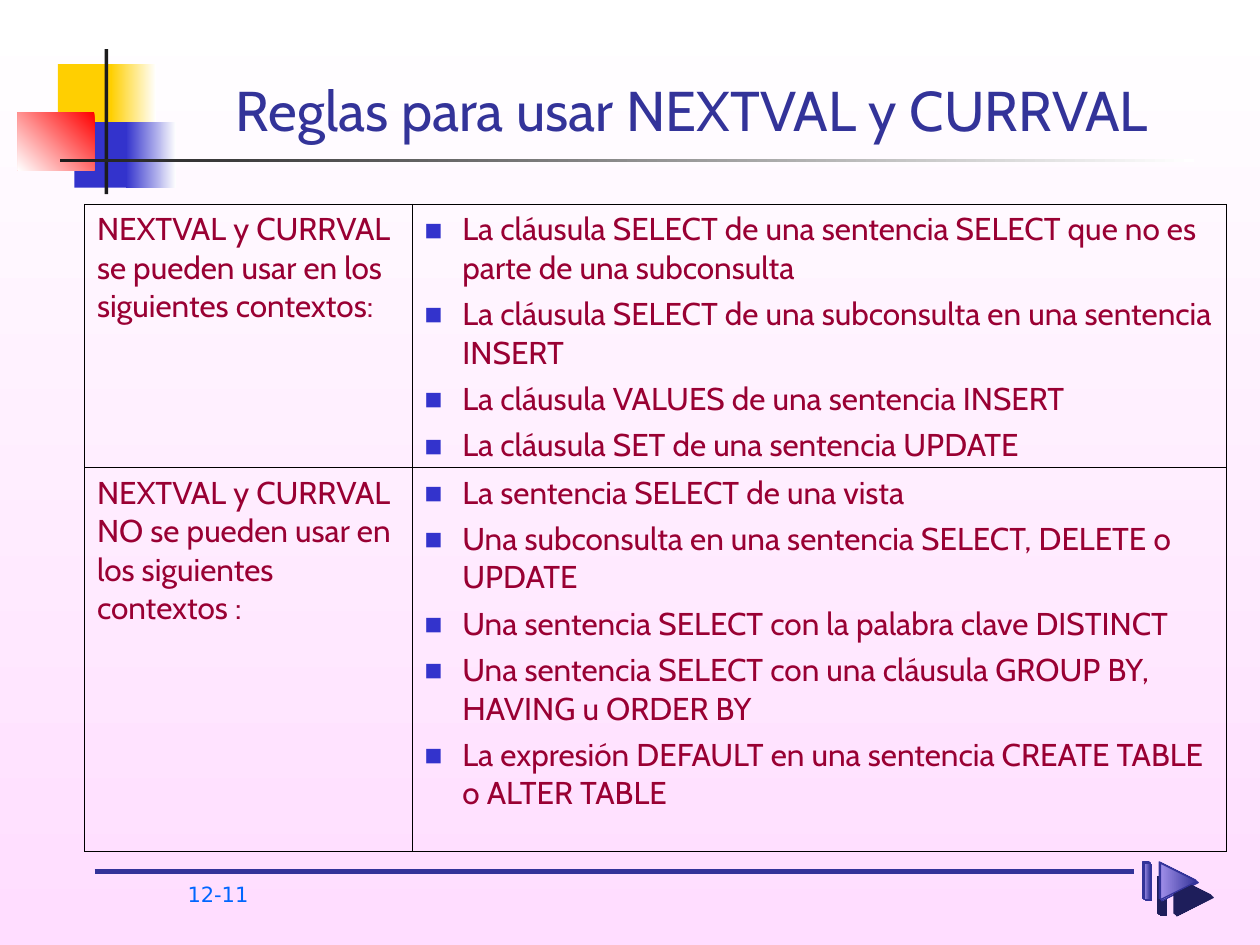
from dataclasses import dataclass

from lxml import etree
from pptx import Presentation
from pptx.dml.color import RGBColor
from pptx.enum.shapes import MSO_CONNECTOR, MSO_SHAPE
from pptx.enum.text import MSO_ANCHOR, MSO_AUTO_SIZE, PP_ALIGN
from pptx.oxml.ns import qn
from pptx.util import Emu, Inches, Pt

RECT = MSO_SHAPE.RECTANGLE
STRAIGHT = MSO_CONNECTOR.STRAIGHT
BOTTOM = MSO_ANCHOR.BOTTOM
CENTER = PP_ALIGN.CENTER
NO_FIT, GROW = MSO_AUTO_SIZE.NONE, MSO_AUTO_SIZE.SHAPE_TO_FIT_TEXT


@dataclass(frozen=True)
class Theme:
    """Colours, fonts and type sizes of the slide."""
    white: str = "FFFFFF"
    pink: str = "FFDDFF"
    yellow: str = "FFCF01"
    blue: str = "3333CC"
    red: str = "FF0000"
    dark: str = "1C1C1C"
    navy: str = "333399"
    lilac: str = "A08FE9"
    shade: str = "1E1E5B"
    number: str = "0066FF"
    body: str = "990033"
    border: str = "000000"
    font: str = "Cabin"
    number_font: str = "DejaVu Sans"
    title_size: int = 32
    body_size: int = 18
    number_size: int = 12


T = Theme()

RULES = [
    ("NEXTVAL y CURRVAL se pueden usar en los siguientes contextos:",
     ["La cláusula SELECT de una sentencia SELECT que no es parte de una subconsulta",
      "La cláusula SELECT de una subconsulta en una sentencia INSERT",
      "La cláusula VALUES de una sentencia INSERT",
      "La cláusula SET de una sentencia UPDATE"]),
    ("NEXTVAL y CURRVAL NO se pueden usar en los siguientes contextos :",
     ["La sentencia SELECT de una vista",
      "Una subconsulta en una sentencia SELECT, DELETE o UPDATE",
      "Una sentencia SELECT con la palabra clave DISTINCT",
      "Una sentencia SELECT con una cláusula GROUP BY, HAVING u ORDER BY",
      "La expresión DEFAULT en una sentencia CREATE TABLE o ALTER TABLE"]),
]


def rgb(color):
    """Turn a hex string into a colour."""
    return RGBColor.from_string(color)


def add_xml(parent, tag, **attrs):
    """Append a drawing element with the given attributes."""
    return etree.SubElement(parent, qn(tag), {k: str(v) for k, v in attrs.items()})


def paint(fill, colors, angle=180):
    """Fill with one colour, or a clockwise gradient between two."""
    if isinstance(colors, str):
        fill.solid()
        fill.fore_color.rgb = rgb(colors)
        return
    fill.gradient()
    fill.gradient_angle = 360 - angle
    for stop, color in zip(fill.gradient_stops, colors):
        stop.color.rgb = rgb(color)


def add_block(shapes, box, colors, angle=180):
    """Add a borderless rectangle."""
    sp = shapes.add_shape(RECT, *map(Inches, box))
    paint(sp.fill, colors, angle)
    sp.line.fill.background()
    sp.shadow.inherit = False
    return sp


def style(p, size, color, font):
    """Format every run of a paragraph."""
    for r in p.runs:
        r.font.size, r.font.name = Pt(size), font
        r.font.color.rgb = rgb(color)


def add_ornament(shapes):
    """Draw the coloured squares and the two crossing bars."""
    left_top, low_top, side = 0.51, 0.97, 0.52
    for box, colors, angle in [
        ((0.46, left_top, 0.48, side), T.yellow, 0),
        ((0.88, left_top, 0.36, side), (T.white, T.yellow), 180),
        ((0.59, low_top, 0.46, side), T.blue, 0),
        ((1, low_top, 0.4, side), (T.white, T.blue), 180),
        ((0.14, 0.89, 0.61, 0.46), (T.red, T.white), 135),
        ((0.83, 0.39, 0.03, 1.15), T.dark, 0),
        ((0.48, 1.26, 9, 0.03), (T.white, T.dark), 180),
    ]:
        add_block(shapes, box, colors, angle)


def finish_icon_part(sp):
    """Give an icon part its gradient, outline and hard shadow."""
    paint(sp.fill, (T.navy, T.lilac))
    sp.line.color.rgb = rgb(T.navy)
    sp.line.width = Pt(0.75)
    sp.shadow.inherit = False
    effects = sp._element.spPr.find(qn("a:effectLst"))
    shadow = add_xml(effects, "a:outerShdw", blurRad=0, dist=Pt(12.1),
                     dir=45 * 60000, algn="ctr", rotWithShape=0)
    add_xml(shadow, "a:srgbClr", val=T.shade)


def add_play_icon(shapes):
    """Draw layered bars and triangles as one group."""
    group = shapes.add_group_shape().shapes
    left, top, size, gap = 9.07, 6.84, 0.29, 0.13
    steps = (0.02, 0, 0.01)
    for d in steps:
        finish_icon_part(group.add_shape(
            RECT, *map(Inches, (left + d, top + d, 0.05, size))))
    for d in steps:
        x, y = left + gap + d, top + d
        builder = group.build_freeform(Inches(x + size), Inches(y + size / 2))
        builder.add_line_segments(
            [(Inches(x), Inches(y)), (Inches(x), Inches(y + size))], close=True)
        finish_icon_part(builder.convert_to_shape())


def add_footer(shapes):
    """Draw the footer rule and the page number."""
    line = shapes.add_connector(STRAIGHT, *map(Inches, (0.75, 6.92, 9, 6.92)))
    line.line.color.rgb = rgb(T.navy)
    line.line.width = Pt(2.75)
    add_xml(line._element.spPr, "a:effectLst")
    tf = shapes.add_textbox(*map(Inches, (1.39, 6.95, 0.86, 0.33))).text_frame
    tf.word_wrap, tf.auto_size = True, GROW
    tf.text = "12-11"
    style(tf.paragraphs[0], T.number_size, T.number, T.number_font)


def set_title(title, text):
    """Place and format the title placeholder."""
    title.left, title.top, title.width, title.height = map(
        Inches, (1.26, 0.36, 8.47, 0.82))
    tf = title.text_frame
    tf.text = text
    tf.auto_size, tf.vertical_anchor = NO_FIT, BOTTOM
    p = tf.paragraphs[0]
    p.alignment = CENTER
    style(p, T.title_size, T.navy, T.font)


def add_bullet(p):
    """Give a paragraph a small square bullet and hanging indent."""
    pPr = p._p.get_or_add_pPr()
    pPr.set("marL", str(Inches(0.3)))
    pPr.set("indent", str(-Inches(0.3)))
    add_xml(add_xml(pPr, "a:buClr"), "a:srgbClr", val=T.blue)
    add_xml(pPr, "a:buSzPct", val=60000)
    add_xml(pPr, "a:buFont", typeface=T.number_font)
    add_xml(pPr, "a:buChar", char="■")


def fill_cell(cell, lines, bulleted):
    """Write and format a bordered, unfilled cell."""
    tcPr = cell._tc.get_or_add_tcPr()
    for side in "LRTB":
        ln = add_xml(tcPr, f"a:ln{side}", w=Emu(Pt(0.45)))
        add_xml(add_xml(ln, "a:solidFill"), "a:srgbClr", val=T.border)
    cell.fill.background()
    tf = cell.text_frame
    tf.text = "\n".join(lines)
    for p in tf.paragraphs:
        p.space_before = Pt(4.5)
        if bulleted:
            add_bullet(p)
        style(p, T.body_size, T.body, T.font)


def add_rules_table(shapes):
    """Build the table of contexts and rules."""
    widths, heights = (2.6, 6.46), (2.09, 3.05)
    table = shapes.add_table(len(heights), len(widths), *map(
        Inches, (0.67, 1.62, sum(widths), sum(heights)))).table
    table.first_row = table.horz_banding = False
    for column, width in zip(table.columns, widths):
        column.width = Inches(width)
    for row, height, (heading, rules) in zip(table.rows, heights, RULES):
        row.height = Inches(height)
        fill_cell(row.cells[0], [heading], False)
        fill_cell(row.cells[1], rules, True)


def main():
    """Build and save the slide."""
    prs = Presentation()
    prs.slide_width, prs.slide_height = Inches(10), Inches(7.5)
    s = prs.slides.add_slide(prs.slide_layouts[5])
    paint(s.background.fill, (T.white, T.pink), 90)
    add_ornament(s.shapes)
    add_play_icon(s.shapes)
    add_footer(s.shapes)
    set_title(s.shapes.title, "Reglas para usar NEXTVAL y CURRVAL")
    add_rules_table(s.shapes)
    prs.save("out.pptx")


if __name__ == "__main__":
    main()
